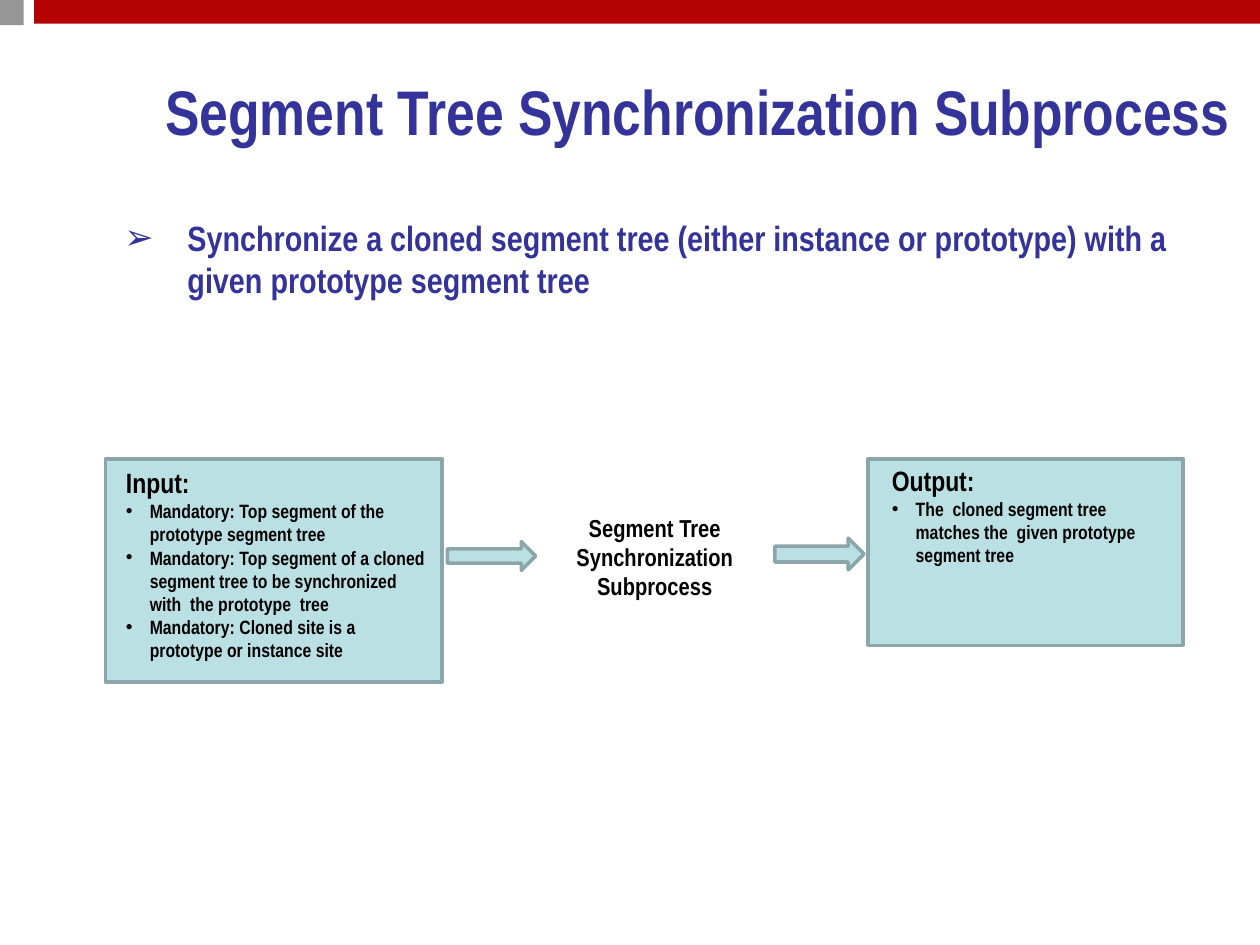
from dataclasses import dataclass

from lxml.etree import SubElement
from pptx import Presentation
from pptx.dml.color import RGBColor
from pptx.enum.shapes import MSO_SHAPE
from pptx.enum.text import MSO_ANCHOR, PP_ALIGN
from pptx.oxml.ns import qn
from pptx.util import Cm, Pt


@dataclass(frozen=True)
class Theme:
    font: str = "Arial Narrow"
    bullet_font: str = "Arial"
    red: str = "B50303"
    gray: str = "969696"
    panel: str = "BBE0E3"
    outline: str = "8AA6A8"
    navy: str = "333399"
    black: str = "000000"
    title: int = 36
    subtitle: int = 20
    heading: int = 16
    process: int = 14
    item: int = 11
    line: int = 2


@dataclass(frozen=True)
class Area:
    left: float
    top: float
    width: float
    height: float

    def lengths(self) -> tuple:
        return Cm(self.left), Cm(self.top), Cm(self.width), Cm(self.height)


@dataclass(frozen=True)
class Panel:
    frame: Area
    text: Area
    heading: str
    items: tuple[str, ...]


THEME = Theme()

PANELS = (
    Panel(
        Area(2.13, 9.25, 6.78, 4.5),
        Area(2.29, 9.27, 6.63, 4.24),
        "Input:",
        (
            "Mandatory: Top segment of the prototype segment tree",
            "Mandatory: Top segment of a cloned segment tree to be synchronized with  the prototype  tree",
            "Mandatory: Cloned site is a  prototype or instance site",
        ),
    ),
    Panel(
        Area(17.5, 9.25, 6.35, 3.76),
        Area(17.73, 9.22, 6.15, 2.36),
        "Output:",
        ("The  cloned segment tree matches the  given prototype segment tree",),
    ),
)

ARROWS = (Area(9.02, 10.92, 1.78, 0.58), Area(15.62, 10.85, 1.8, 0.64))


def add_block(page, area: Area, fill: str, kind=MSO_SHAPE.RECTANGLE, outline: str = "") -> None:
    block = page.shapes.add_shape(kind, *area.lengths())
    block.shadow.inherit = False
    block.fill.solid()
    block.fill.fore_color.rgb = RGBColor.from_string(fill)
    if outline:
        block.line.color.rgb = RGBColor.from_string(outline)
        block.line.width = Pt(THEME.line)
    else:
        block.line.fill.background()


def add_box(page, area: Area, anchor=MSO_ANCHOR.TOP):
    frame = page.shapes.add_textbox(*area.lengths()).text_frame
    frame.word_wrap = True
    frame.vertical_anchor = anchor
    return frame


def write(para, text: str, *, size: int, color: str = THEME.black,
          align=PP_ALIGN.LEFT, bullet: str = "", indent: float = 0) -> None:
    para.alignment = align
    if bullet:
        properties = para._p.get_or_add_pPr()
        properties.set("marL", str(Cm(indent)))
        properties.set("indent", str(-Cm(indent)))
        SubElement(properties, qn("a:buFont")).set("typeface", THEME.bullet_font)
        SubElement(properties, qn("a:buChar")).set("char", bullet)
    span = para.add_run()
    span.text = text
    span.font.name = THEME.font
    span.font.size = Pt(size)
    span.font.bold = True
    span.font.color.rgb = RGBColor.from_string(color)


def add_panel(page, panel: Panel) -> None:
    add_block(page, panel.frame, THEME.panel, outline=THEME.outline)
    box = add_box(page, panel.text)
    write(box.paragraphs[0], panel.heading, size=THEME.heading)
    for item in panel.items:
        write(box.add_paragraph(), item, size=THEME.item, bullet="•", indent=0.48)


def main() -> None:
    deck = Presentation()
    deck.slide_width, deck.slide_height = Cm(25.4), Cm(19.05)
    page = deck.slides.add_slide(deck.slide_layouts[6])

    add_block(page, Area(0.69, 0, 24.71, 0.48), THEME.red)
    add_block(page, Area(0, 0, 0.48, 0.51), THEME.gray)

    title = add_box(page, Area(2.74, 1.47, 22.66, 1.5), MSO_ANCHOR.MIDDLE)
    write(title.paragraphs[0], "Segment Tree Synchronization Subprocess",
          size=THEME.title, color=THEME.navy, align=PP_ALIGN.CENTER)

    subtitle = add_box(page, Area(2.26, 4.24, 22.83, 2.34))
    write(subtitle.paragraphs[0],
          "Synchronize a cloned segment tree (either instance or prototype) "
          "with a given prototype segment tree",
          size=THEME.subtitle, color=THEME.navy, bullet="➢", indent=1.27)

    for panel in PANELS:
        add_panel(page, panel)

    process = add_box(page, Area(11.13, 10.21, 4.14, 2.06))
    write(process.paragraphs[0], "Segment Tree Synchronization Subprocess",
          size=THEME.process, align=PP_ALIGN.CENTER)

    for arrow in ARROWS:
        add_block(page, arrow, THEME.panel, MSO_SHAPE.RIGHT_ARROW, THEME.outline)

    deck.save("out.pptx")


if __name__ == "__main__":
    main()
